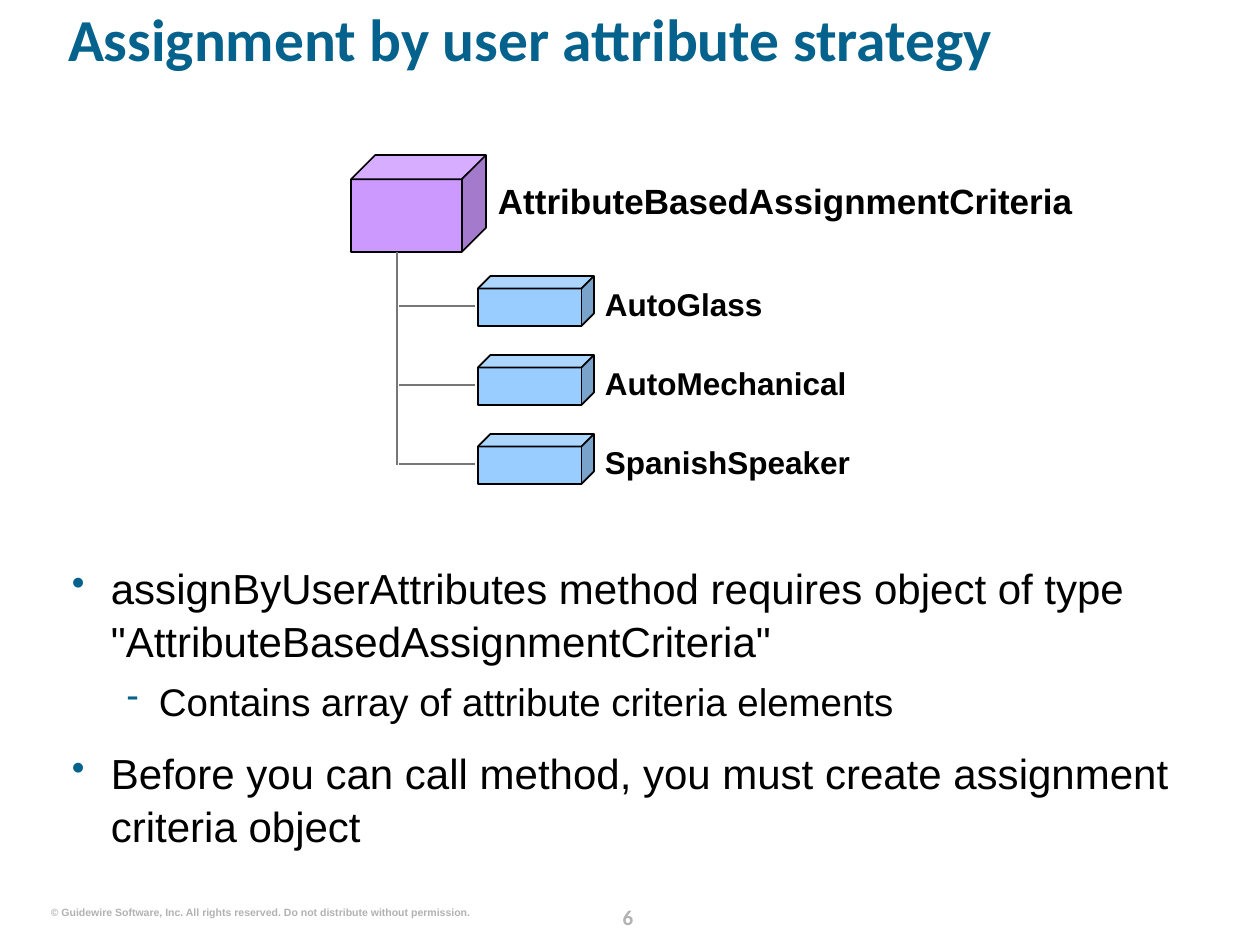
from lxml import etree
from pptx import Presentation
from pptx.dml.color import RGBColor
from pptx.enum.shapes import MSO_CONNECTOR, MSO_SHAPE
from pptx.enum.text import MSO_ANCHOR, PP_ALIGN
from pptx.oxml.ns import qn
from pptx.util import Emu, Pt

CUBE = MSO_SHAPE.CUBE
STRAIGHT = MSO_CONNECTOR.STRAIGHT
TOP, MIDDLE = MSO_ANCHOR.TOP, MSO_ANCHOR.MIDDLE
LEFT, CENTER, RIGHT = PP_ALIGN.LEFT, PP_ALIGN.CENTER, PP_ALIGN.RIGHT

EMU_PER_PX = 914400 / 126
TEAL, BLACK, GRAY, MUTED = "04628C", "000000", "777777", "B2B2B2"
PURPLE, BLUE = "CC99FF", "99CCFF"


def px(n):
    return Emu(round(n * EMU_PER_PX))


def rgb(value):
    return RGBColor.from_string(value)


class Deck:
    def __init__(self, prs):
        self.s = prs.slides.add_slide(prs.slide_layouts[5])

    def frame(self, sp, anchor=TOP, wrap=True):
        tf = sp.text_frame
        tf.word_wrap = wrap
        tf.vertical_anchor = anchor
        tf.margin_left = tf.margin_right = tf.margin_top = tf.margin_bottom = 0
        return tf

    def run(self, p, text, size, color, bold=False, font="Arial"):
        r = p.add_run()
        r.text = text
        r.font.name = font
        r.font.size = Pt(size)
        r.font.bold = bold
        r.font.color.rgb = rgb(color)

    def title(self, x, y, w, h, text):
        sp = self.s.shapes.title
        sp.left, sp.top, sp.width, sp.height = map(px, (x, y, w, h))
        p = self.frame(sp).paragraphs[0]
        p.alignment = LEFT
        p.line_spacing = 0.8
        self.run(p, text, 34, TEAL, True, "Calibri")

    def text(self, x, y, w, h, text, size, color=BLACK, font="Arial",
             align=LEFT, anchor=MIDDLE, wrap=True, spacing=None):
        sp = self.s.shapes.add_textbox(*map(px, (x, y, w, h)))
        p = self.frame(sp, anchor, wrap).paragraphs[0]
        p.alignment = align
        p.line_spacing = spacing
        self.run(p, text, size, color, True, font)

    def bullets(self, x, y, w, h, items):
        tf = self.frame(self.s.shapes.add_textbox(*map(px, (x, y, w, h))))
        styles = [("•", 39, -39, 24, 12), ("-", 87, -32, 22, 5.5)]
        for i, (level, text) in enumerate(items):
            mark, margin, indent, size, before = styles[level]
            p = tf.paragraphs[0] if i == 0 else tf.add_paragraph()
            p.level = level
            p.line_spacing = 1.05
            p.space_before = Pt(before if i else 0)
            pPr = p._p.get_or_add_pPr()
            pPr.set("marL", str(px(margin)))
            pPr.set("indent", str(px(indent)))
            color = etree.SubElement(pPr, qn("a:buClr"))
            etree.SubElement(color, qn("a:srgbClr"), val=TEAL)
            etree.SubElement(pPr, qn("a:buSzPct"), val="90000")
            etree.SubElement(pPr, qn("a:buChar"), char=mark)
            self.run(p, text, size, BLACK)

    def cube(self, x, y, w, h, fill):
        sp = self.s.shapes.add_shape(CUBE, *map(px, (x, y, w, h)))
        sp.shadow.inherit = False
        sp.adjustments[0] = 0.25
        sp.fill.solid()
        sp.fill.fore_color.rgb = rgb(fill)
        sp.line.color.rgb = rgb(BLACK)
        sp.line.width = Pt(1)

    def line(self, x1, y1, x2, y2):
        sp = self.s.shapes.add_connector(STRAIGHT, *map(px, (x1, y1, x2, y2)))
        sp.line.color.rgb = rgb(GRAY)
        sp.line.width = Pt(1)
        etree.SubElement(sp._element.spPr, qn("a:effectLst"))


def main():
    prs = Presentation()
    prs.slide_width, prs.slide_height = px(1260), px(945)
    deck = Deck(prs)

    deck.text(592, 898, 72, 32, "6", 12, MUTED, "Calibri", CENTER, TOP,
              spacing=Pt(18))
    deck.text(50, 906, 420, 12,
              "© Guidewire Software, Inc. All rights reserved. "
              "Do not distribute without permission.",
              6, MUTED, align=RIGHT, wrap=False)
    deck.title(68, 16, 1147, 102, "Assignment by user attribute strategy")
    deck.bullets(72, 560, 1147, 321, [
        (0, "assignByUserAttributes method requires object of type "
            "\"AttributeBasedAssignmentCriteria\""),
        (1, "Contains array of attribute criteria elements"),
        (0, "Before you can call method, you must create assignment "
            "criteria object"),
    ])

    deck.cube(351, 155, 135, 97, PURPLE)
    deck.text(498, 179, 679, 42, "AttributeBasedAssignmentCriteria", 20)
    deck.line(397, 252, 397, 465)
    for i, name in enumerate(["AutoGlass", "AutoMechanical", "SpanishSpeaker"]):
        y = 276 + 79 * i
        deck.cube(478, y, 116, 50, BLUE)
        deck.text(605, y + 9, 335, 38, name, 18)
        deck.line(475, y + 30, 399, y + 30)

    prs.save("out.pptx")


if __name__ == "__main__":
    main()
